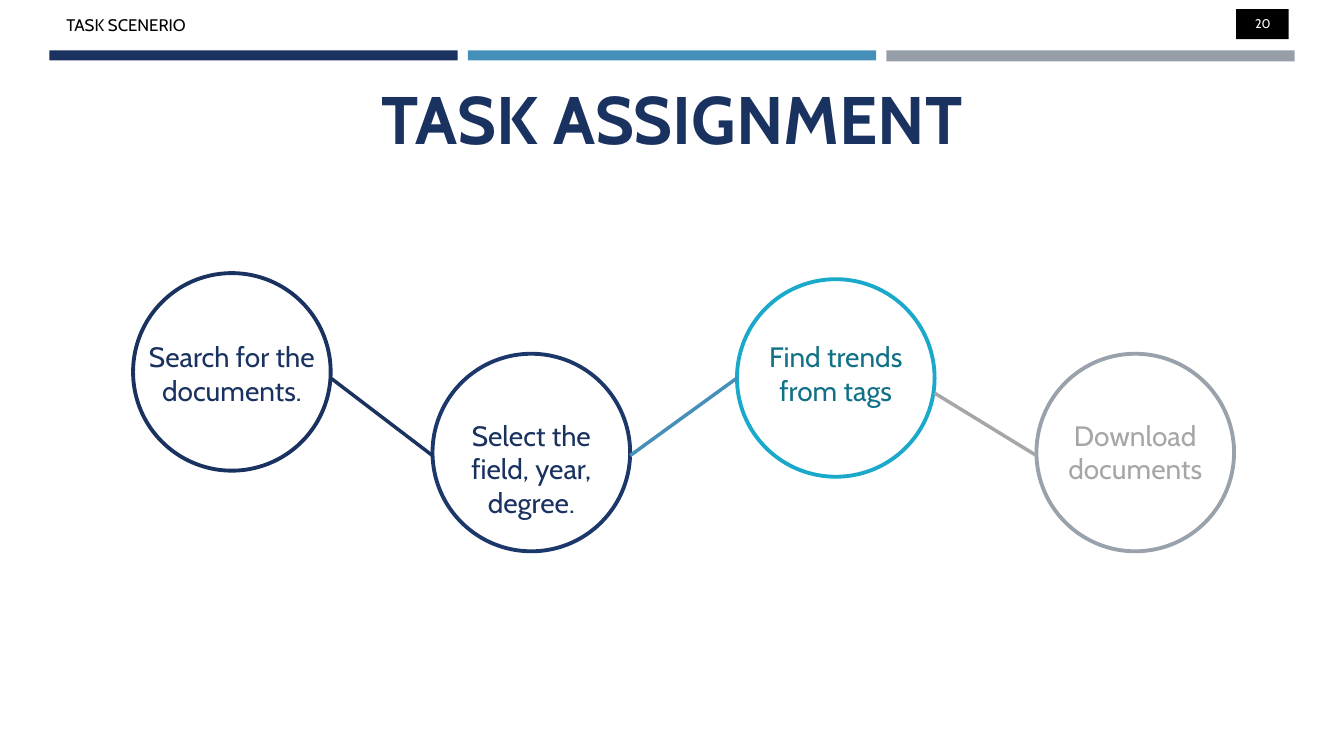
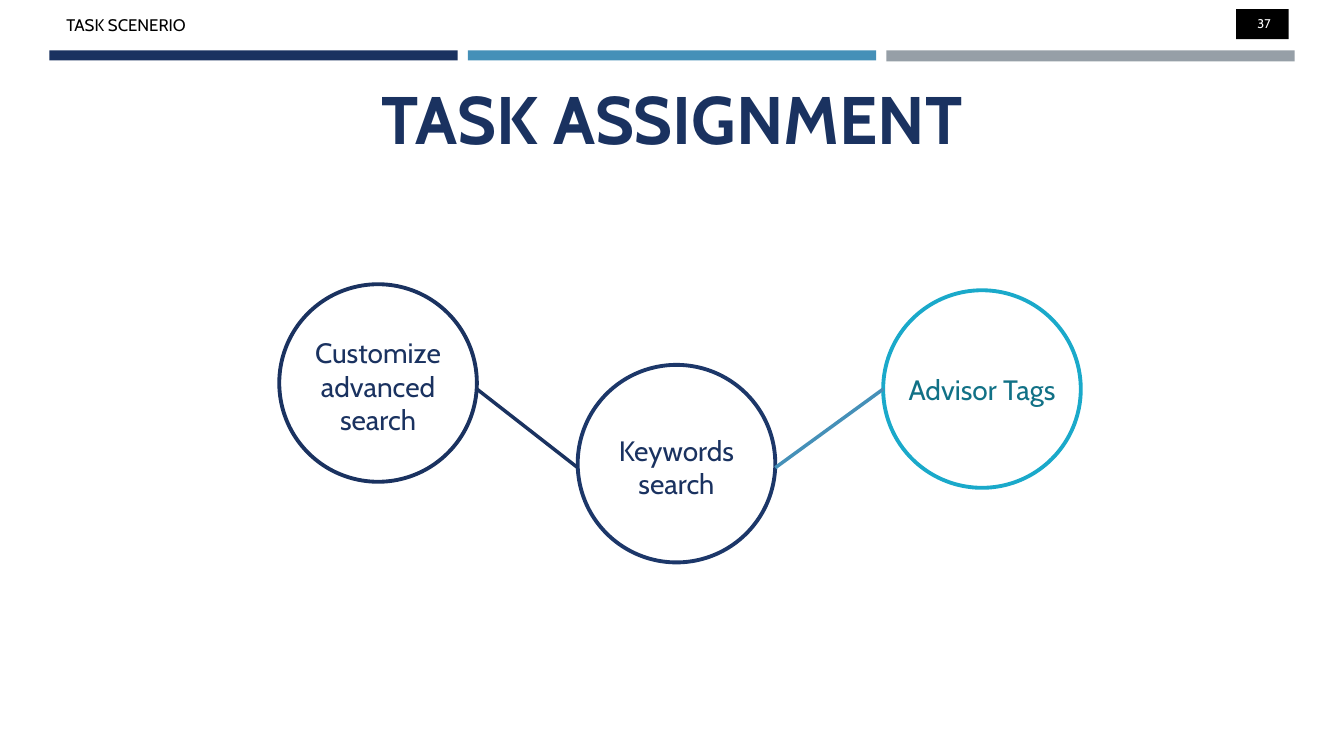
from lxml import etree
from pptx import Presentation
from pptx import util as u
from pptx.dml.color import RGBColor
from pptx.enum import shapes, text
from pptx.oxml.ns import qn

PX = 9144  # 100 px to the inch
WIDE, HIGH = 1333, 750
FONT = "Cabin"
SIZE = 196  # circle diameter
HUES = {
    "navy": "1A3260", "ink": "1C3769", "blue": "4590B8", "gray": "969FA7",
    "cyan": "1AA9CA", "teal": "117186", "steel": "99A2AA", "ash": "A6A6A6",
    "black": "000000", "white": "FFFFFF",
}
KIND = shapes.MSO_SHAPE
LEFT, MID, RIGHT = text.PP_ALIGN.LEFT, text.PP_ALIGN.CENTER, text.PP_ALIGN.RIGHT


def shape(slide, kind, box, fill=None, line=None):
    """Add a preset shape with a fill, an outline or both."""
    item = slide.shapes.add_shape(kind, *[n * PX for n in box])
    item.shadow.inherit = False
    if fill:
        item.fill.solid()
        item.fill.fore_color.rgb = RGBColor.from_string(HUES[fill])
    else:
        item.fill.background()
    if line:
        item.line.color.rgb = RGBColor.from_string(HUES[line])
        item.line.width = u.Pt(2.75)
    else:
        item.line.fill.background()


def label(slide, words, box, size, hue, align=MID, bold=False):
    """Add a wrapped text box and return its frame."""
    frame = slide.shapes.add_textbox(*[n * PX for n in box]).text_frame
    frame.word_wrap = True
    frame.text = words
    par = frame.paragraphs[0]
    par.alignment = align
    font = par.runs[0].font
    font.name, font.size, font.bold = FONT, u.Pt(size), bold
    font.color.rgb = RGBColor.from_string(HUES[hue])
    return frame


# Bands: left to right, colour and height
BANDS = [("navy", 10), ("blue", 10), ("gray", 11)]

# Steps: words, circle left and top, text top and height, outline, text colour
# Links: start and end height, colour; each joins a circle to the next
PAGES = [
    {
        "page": "20",
        "steps": [
            ("Search for the documents.", 132, 271, 332, 77, "navy", "navy"),
            ("Select the field, year, degree.", 429, 351, 410, 111, "ink", "navy"),
            ("Find trends from tags", 731, 277, 332, 77, "cyan", "teal"),
            ("Download documents", 1028, 351, 410, 77, "steel", "ash"),
        ],
        "links": [(375, 452, "navy"), (452, 375, "blue"), (390, 452, "ash")],
    },
    {
        "page": "37",
        "steps": [
            ("Customize advanced search", 277, 282, 328, 111, "navy", "navy"),
            ("Keywords search", 573, 362, 425, 77, "ink", "navy"),
            ("Advisor Tags", 876, 288, 365, 44, "cyan", "teal"),
        ],
        "links": [(386, 464, "navy"), (464, 386, "blue")],
    },
]

deck = Presentation()
deck.slide_width, deck.slide_height = WIDE * PX, HIGH * PX

for data in PAGES:
    slide = deck.slides.add_slide(deck.slide_layouts[6])

    # Header, page number and title
    for i, (hue, tall) in enumerate(BANDS):
        shape(slide, KIND.RECTANGLE, (49 + 415 * i, 50, 405, tall), fill=hue)
    label(slide, "TASK SCENERIO", (56, 10, 305, 30), 12, "black", LEFT)
    shape(slide, KIND.RECTANGLE, (1226, 9, 52, 30), fill="black")
    num = label(slide, data["page"], (1208, 6, 62, 35), 9, "white", RIGHT)
    num.vertical_anchor = text.MSO_ANCHOR.MIDDLE
    label(slide, "TASK ASSIGNMENT", (0, 72, WIDE, 91), 48, "navy", bold=True)

    # Circles with their words
    steps = data["steps"]
    for words, left, top, y, tall, line, hue in steps:
        shape(slide, KIND.OVAL, (left, top, SIZE, SIZE), line=line)
        label(slide, words, (left, y, SIZE, tall), 20, hue)

    # Lines between neighbours
    for here, there, (y1, y2, hue) in zip(steps, steps[1:], data["links"]):
        ends = (here[1] + SIZE, y1, there[1], y2)
        link = slide.shapes.add_connector(
            shapes.MSO_CONNECTOR.STRAIGHT, *[n * PX for n in ends])
        link.line.color.rgb = RGBColor.from_string(HUES[hue])
        link.line.width = u.Pt(2.5)
        etree.SubElement(link._element.spPr, qn("a:effectLst"))

deck.save("out.pptx")
